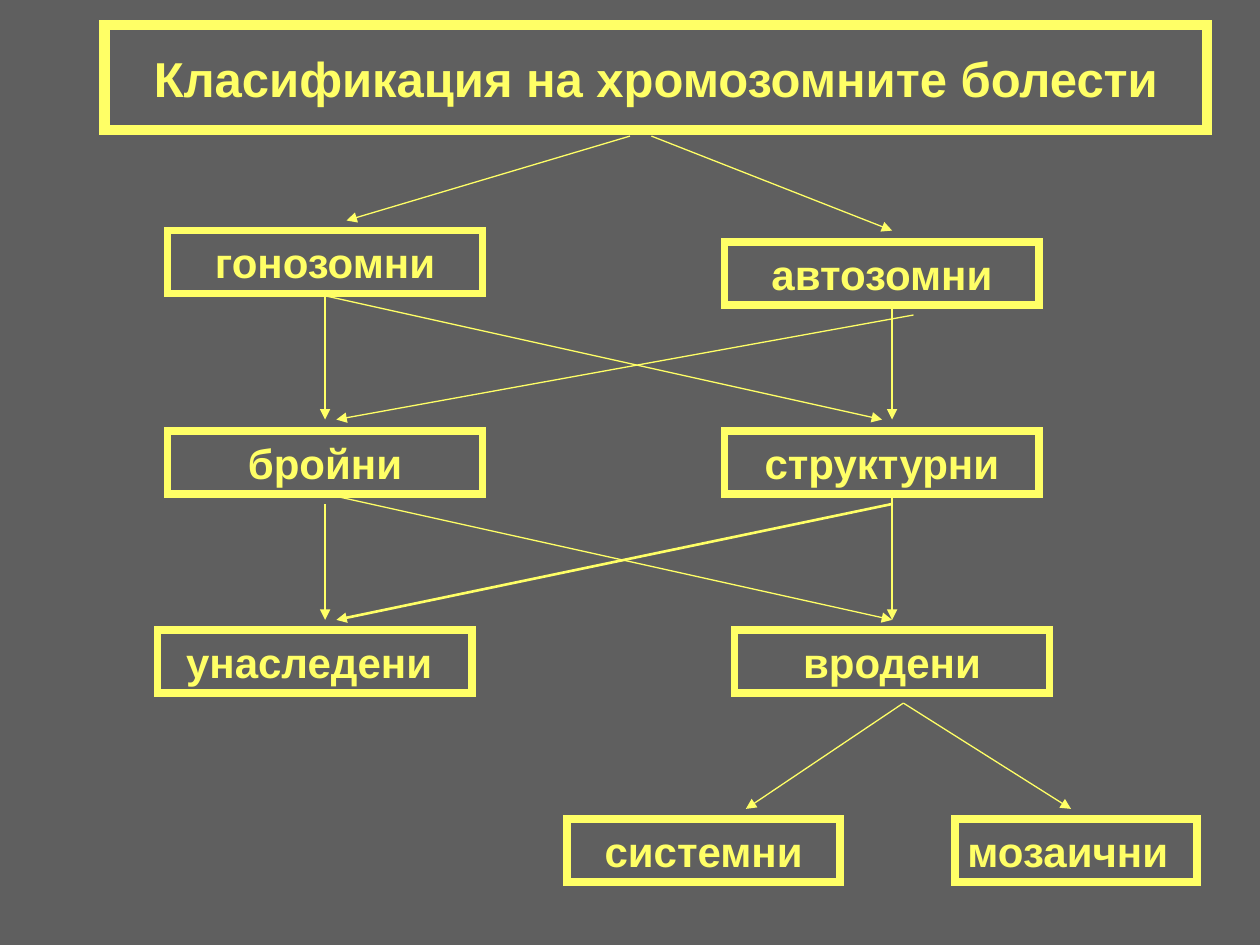
from lxml.etree import SubElement as Sub
from pptx import Presentation
from pptx.dml.color import RGBColor as Rgb
from pptx.enum.shapes import MSO_CONNECTOR as Conn, MSO_SHAPE as Kind
from pptx.enum.text import MSO_ANCHOR as Anchor, MSO_AUTO_SIZE as Auto, PP_ALIGN as Align
from pptx.oxml.ns import qn
from pptx.util import Inches, Pt

THEME = {
    "back": Rgb.from_string("5F5F5F"),
    "ink": Rgb.from_string("FFFF66"),
    "font": "Arial",
    "head": {"size": 28, "edge": 6},
    "node": {"size": 24, "edge": 4.5},
    "thin": 0.75,
    "bold": 1.5,
}

TITLE = ("Класификация на хромозомните болести", (0.83, 0.33, 8.75, 0.57))
NODE_H = 0.5
NODES = [
    ("гонозомни", 1.33, 1.83, 2.5, Align.CENTER),
    ("автозомни", 5.75, 1.92, 2.5, Align.CENTER),
    ("бройни", 1.33, 3.42, 2.5, Align.CENTER),
    ("структурни", 5.75, 3.42, 2.5, Align.CENTER),
    ("унаследени ", 1.25, 5, 2.5, Align.CENTER),
    ("вродени", 5.83, 5, 2.5, Align.CENTER),
    ("системни", 4.5, 6.5, 2.17, Align.CENTER),
    ("мозаични", 7.58, 6.5, 1.92, Align.LEFT),
]
ARROWS = [
    ((5, 1.08), (2.75, 1.75), "thin", None),
    ((5.17, 1.08), (7.08, 1.83), "thin", None),
    ((2.58, 2.33), (2.58, 3.33), "thin", "гонозомни"),
    ((2.5, 2.33), (7, 3.33), "thin", None),
    ((7.08, 2.42), (7.08, 3.33), "thin", None),
    ((7.25, 2.5), (2.67, 3.33), "thin", None),
    ((2.58, 4), (2.58, 4.92), "thin", None),
    ((2.58, 3.92), (7.08, 4.92), "thin", "бройни"),
    ((7.08, 3.92), (7.08, 4.92), "thin", None),
    ((7.17, 5.58), (5.92, 6.42), "thin", None),
    ((7.17, 5.58), (8.5, 6.42), "thin", None),
    ((7.08, 4), (2.67, 4.92), "bold", None),
]


def put(obj, vals):
    for key, val in vals.items():
        setattr(obj, key, val)


def dress(shape, text, look, align):
    shape.fill.background()
    shape.line.color.rgb = THEME["ink"]
    shape.line.width = Pt(look["edge"])
    Sub(shape.line._get_or_add_ln(), qn("a:miter"), lim="800000")
    frame = shape.text_frame
    frame.text = text
    put(frame, {"word_wrap": True, "auto_size": Auto.SHAPE_TO_FIT_TEXT,
                "vertical_anchor": Anchor.MIDDLE})
    para = frame.paragraphs[0]
    para.alignment = align
    font = para.runs[0].font
    put(font, {"name": THEME["font"], "size": Pt(look["size"]), "bold": True})
    font.color.rgb = THEME["ink"]


def add_node(slide, text, left, top, width, align):
    box = slide.shapes.add_shape(
        Kind.RECTANGLE, *map(Inches, (left, top, width, NODE_H)))
    box.shadow.inherit = False
    dress(box, text, THEME["node"], align)
    return box


def add_arrow(slide, start, end, weight, box):
    link = slide.shapes.add_connector(Conn.STRAIGHT, *map(Inches, start + end))
    if box is not None:
        link.begin_connect(box, 2)
    link.line.color.rgb = THEME["ink"]
    link.line.width = Pt(THEME[weight])
    Sub(link.line._get_or_add_ln(), qn("a:tailEnd"), type="triangle")
    Sub(link._element.spPr, qn("a:effectLst"))


def main():
    deck = Presentation()
    put(deck, {"slide_width": Inches(10), "slide_height": Inches(7.5)})
    slide = deck.slides.add_slide(deck.slide_layouts[5])
    slide.background.fill.solid()
    slide.background.fill.fore_color.rgb = THEME["back"]

    text, place = TITLE
    head = slide.shapes.title
    put(head, dict(zip(("left", "top", "width", "height"), map(Inches, place))))
    dress(head, text, THEME["head"], Align.CENTER)

    boxes = {node[0]: add_node(slide, *node) for node in NODES}
    for start, end, weight, name in ARROWS:
        add_arrow(slide, start, end, weight, boxes.get(name))
    deck.save("out.pptx")


if __name__ == "__main__":
    main()
